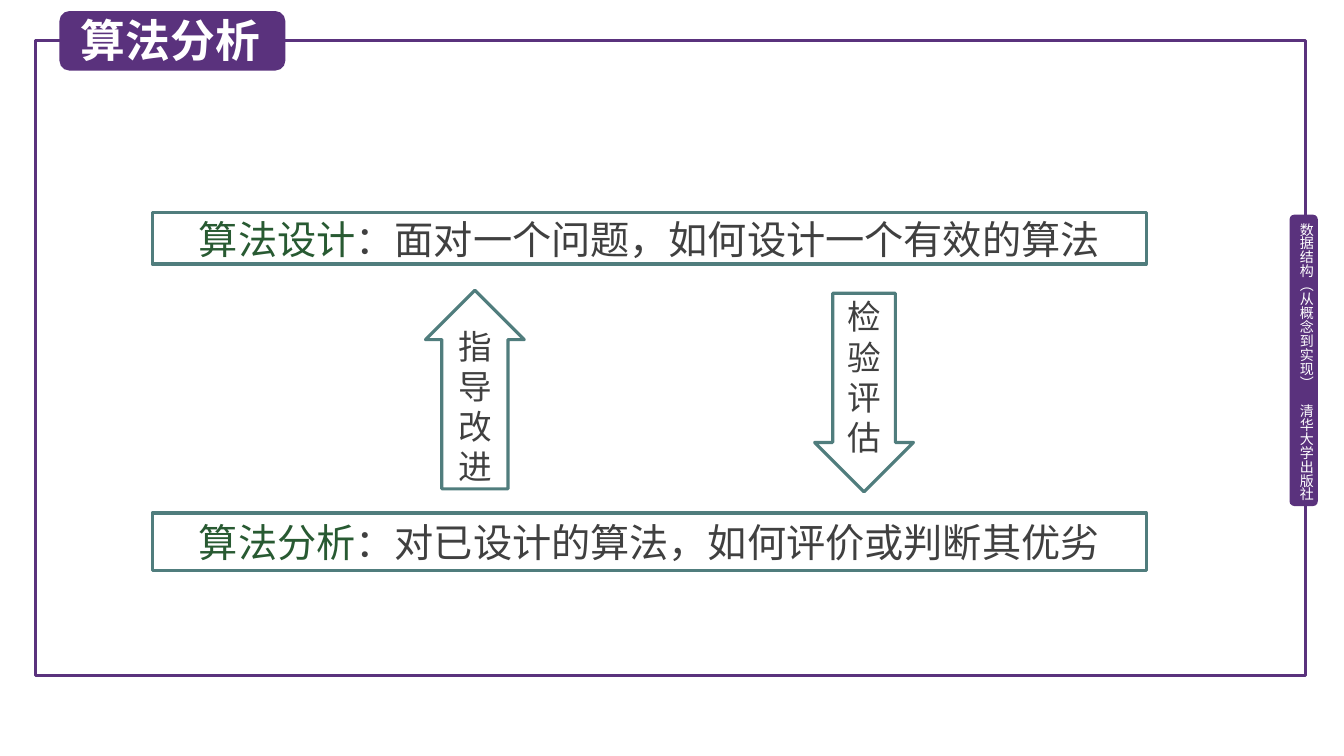
from pptx import Presentation
from pptx.dml.color import RGBColor
from pptx.enum import shapes, text
from pptx.oxml.ns import qn
from pptx.util import Inches, Pt

FONT = "Noto Sans CJK SC"
PURPLE = RGBColor(0x5A, 0x32, 0x7D)
TEAL = RGBColor(0x50, 0x7D, 0x7D)
GREEN = RGBColor(0x28, 0x5A, 0x32)
GRAY = RGBColor(0x40, 0x40, 0x40)
WHITE = RGBColor(0xFF, 0xFF, 0xFF)

TITLE = "算法分析"
SIDE_LABEL = "数据结构（从概念到实现）　清华大学出版社"
# term, explanation, top, height
STATEMENTS = [
    ("算法设计", "：面对一个问题，如何设计一个有效的算法", 2.11, 0.51),
    ("算法分析", "：对已设计的算法，如何评价或判断其优劣", 5.09, 0.57),
]
# label, preset, left, top, shaft share of the width
ARROWS = [
    ("检验评估", shapes.MSO_SHAPE.DOWN_ARROW, 8.08, 2.91, 0.635),
    ("指导改进", shapes.MSO_SHAPE.UP_ARROW, 4.22, 2.88, 0.669),
]
STATEMENT_LEFT, STATEMENT_WIDTH = 1.51, 9.86
ARROW_WIDTH, ARROW_HEIGHT = 0.98, 1.97


def add_box(slide, preset, bounds, fill=None, line=None):
    shape = slide.shapes.add_shape(preset, *map(Inches, bounds))
    shape.shadow.inherit = False
    if fill is None:
        shape.fill.background()
    else:
        shape.fill.solid()
        shape.fill.fore_color.rgb = fill
    if line is None:
        shape.line.fill.background()
    else:
        shape.line.color.rgb = line
        shape.line.width = Pt(2.25)
    return shape


def write(shape, parts, size, align, bold=False):
    """Fill the shape with one paragraph made of (wording, colour) parts."""
    frame = shape.text_frame
    frame.word_wrap = True
    frame.auto_size = text.MSO_AUTO_SIZE.NONE
    frame.vertical_anchor = text.MSO_ANCHOR.MIDDLE
    paragraph = frame.paragraphs[0]
    paragraph.alignment = align
    paragraph.font.name = FONT
    paragraph.font.size = Pt(size)
    paragraph.font.bold = bold
    defaults = paragraph._p.pPr.find(qn("a:defRPr"))
    east_asian = defaults.makeelement(qn("a:ea"), {"typeface": FONT})
    defaults.find(qn("a:latin")).addnext(east_asian)
    for wording, colour in parts:
        run = paragraph.add_run()
        run.text = wording
        run.font.color.rgb = colour


def add_frame(slide):
    """Draw the page border and the vertical label on its right edge."""
    add_box(slide, shapes.MSO_SHAPE.RECTANGLE, (0.35, 0.4, 12.6, 6.3), line=PURPLE)
    add_box(slide, shapes.MSO_SHAPE.ROUNDED_RECTANGLE, (12.79, 2.13, 0.28, 2.89), fill=PURPLE)
    label = slide.shapes.add_textbox(*map(Inches, (12.87, 2.21, 0.17, 2.81)))
    frame = label.text_frame
    frame.margin_left = frame.margin_right = frame.margin_top = frame.margin_bottom = 0
    write(label, [(SIDE_LABEL, WHITE)], 10, text.PP_ALIGN.LEFT)
    frame.vertical_anchor = text.MSO_ANCHOR.TOP
    frame._txBody.bodyPr.set("vert", "eaVert")


def add_title(slide):
    badge = add_box(slide, shapes.MSO_SHAPE.ROUNDED_RECTANGLE, (0.59, 0.11, 2.24, 0.59), fill=PURPLE)
    title = slide.shapes.title
    title.left, title.top, title.width, title.height = map(Inches, (0.7, 0.07, 2.14, 0.64))
    write(title, [(TITLE, WHITE)], 32, text.PP_ALIGN.LEFT, bold=True)
    badge._element.addnext(title._element)


def main():
    presentation = Presentation()
    presentation.slide_width = Inches(13.33)
    presentation.slide_height = Inches(7.5)
    slide = presentation.slides.add_slide(presentation.slide_layouts[5])
    slide.background.fill.solid()
    slide.background.fill.fore_color.rgb = WHITE

    add_frame(slide)
    add_title(slide)
    for term, explanation, top, height in STATEMENTS:
        bounds = (STATEMENT_LEFT, top, STATEMENT_WIDTH, height)
        box = add_box(slide, shapes.MSO_SHAPE.RECTANGLE, bounds, line=TEAL)
        write(box, [(term, GREEN), (explanation, GRAY)], 28, text.PP_ALIGN.CENTER)
    for label, preset, left, top, shaft in ARROWS:
        arrow = add_box(slide, preset, (left, top, ARROW_WIDTH, ARROW_HEIGHT), line=TEAL)
        arrow.adjustments[0] = shaft
        arrow.adjustments[1] = 0.5
        write(arrow, [(label, GRAY)], 24, text.PP_ALIGN.CENTER)
    presentation.save("out.pptx")


if __name__ == "__main__":
    main()
